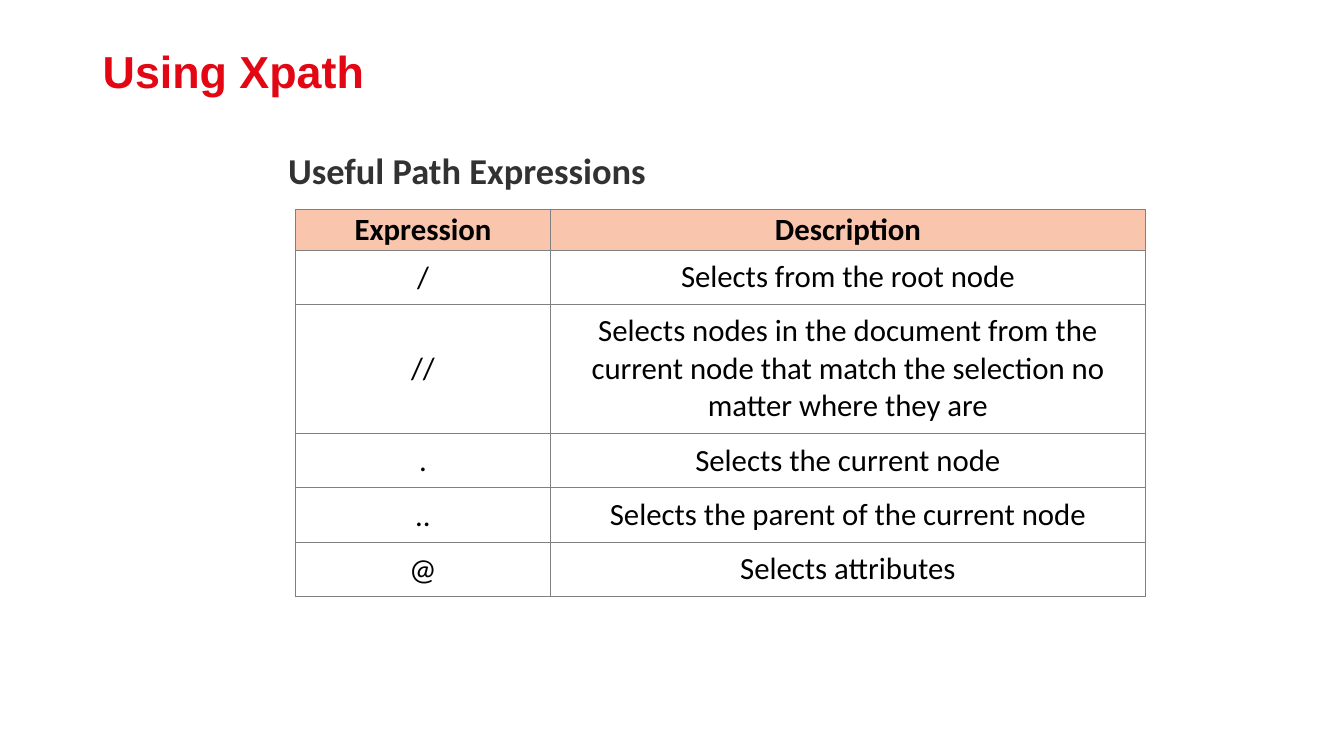
from dataclasses import dataclass
from lxml.etree import SubElement
from pptx import Presentation
from pptx.dml.color import RGBColor as Rgb
from pptx.enum.text import MSO_ANCHOR as Anchor, PP_ALIGN as Align
from pptx.oxml.ns import qn

PX = 9144


@dataclass(frozen=True)
class Theme:
    red: str = "E30613"
    dark: str = "323232"
    black: str = "000000"
    peach: str = "FAC5AD"
    grey: str = "808080"
    head: str = "Arial"
    body: str = "Calibri"
    big: int = 32
    mid: int = 26
    small: int = 22
    rule: float = 0.5


THEME = Theme()
HEADS = ("Expression", "Description")
ROWS = (
    ("/", "Selects from the root node"),
    ("//", "Selects nodes in the document from the current node "
           "that match the selection no matter where they are"),
    (".", "Selects the current node"),
    ("..", "Selects the parent of the current node"),
    ("@", "Selects attributes"),
)
COLS = (253, 590)
HIGHS = (40, 54, 128, 54, 54, 54)


def px(*nums):
    return [num * PX for num in nums]


def write(frame, text, *, size, color, font=THEME.body, bold=False,
          align=Align.LEFT, anchor=Anchor.TOP, lead=None):
    frame.word_wrap = True
    frame.vertical_anchor = anchor
    para = frame.paragraphs[0]
    para.alignment = align
    para.line_spacing = lead
    run = para.add_run()
    run.text = text
    face = run.font
    face.name = font
    face.size = size * 12700
    face.bold = bold
    face.color.rgb = Rgb.from_string(color)


def label(slide, box, text, **form):
    frame = slide.shapes.add_textbox(*px(*box)).text_frame
    write(frame, text, **form)


def edge(cell):
    props = cell._tc.get_or_add_tcPr()
    for at, side in enumerate(("lnL", "lnR", "lnT", "lnB")):
        line = SubElement(props, qn(f"a:{side}"), w=str(int(THEME.rule * 12700)))
        fill = SubElement(line, qn("a:solidFill"))
        SubElement(fill, qn("a:srgbClr"), val=THEME.grey)
        props.remove(line)
        props.insert(at, line)


def fill_cell(cell, text, head, pad):
    cell.margin_left, cell.margin_right = px(1, 1)
    cell.margin_top, cell.margin_bottom = px(*pad)
    if head:
        cell.fill.solid()
        cell.fill.fore_color.rgb = Rgb.from_string(THEME.peach)
    else:
        cell.fill.background()
    write(cell.text_frame, text, size=THEME.small, color=THEME.black,
          bold=head, align=Align.CENTER)
    cell.vertical_anchor = Anchor.MIDDLE
    edge(cell)


def grid(slide, box):
    data = (HEADS, *ROWS)
    shape = slide.shapes.add_table(len(data), len(HEADS), *px(*box))
    table = shape.table
    table.horz_banding = False
    table.first_row = False
    for col, wide in zip(table.columns, px(*COLS)):
        col.width = wide
    for row, high in zip(table.rows, px(*HIGHS)):
        row.height = high
    for i, texts in enumerate(data):
        for j, text in enumerate(texts):
            pad = (8, 8) if i and j else (1, 0)
            fill_cell(table.cell(i, j), text, i == 0, pad)


def title(slide, box):
    label(slide, box, "Using Xpath", size=THEME.big, color=THEME.red,
          font=THEME.head, bold=True, anchor=Anchor.MIDDLE, lead=0.9)


def topic(slide, box):
    left, top, wide, high = box
    label(slide, box, "Useful Path Expressions", size=THEME.mid,
          color=THEME.dark, bold=True)
    grid(slide, (left + 17, top + 66, sum(COLS), sum(HIGHS)))


def main():
    deck = Presentation()
    deck.slide_width, deck.slide_height = px(1333, 750)
    slide = deck.slides.add_slide(deck.slide_layouts[6])
    title(slide, (92, 44, 1150, 59))
    topic(slide, (276, 142, 900, 528))
    deck.save("out.pptx")


if __name__ == "__main__":
    main()
